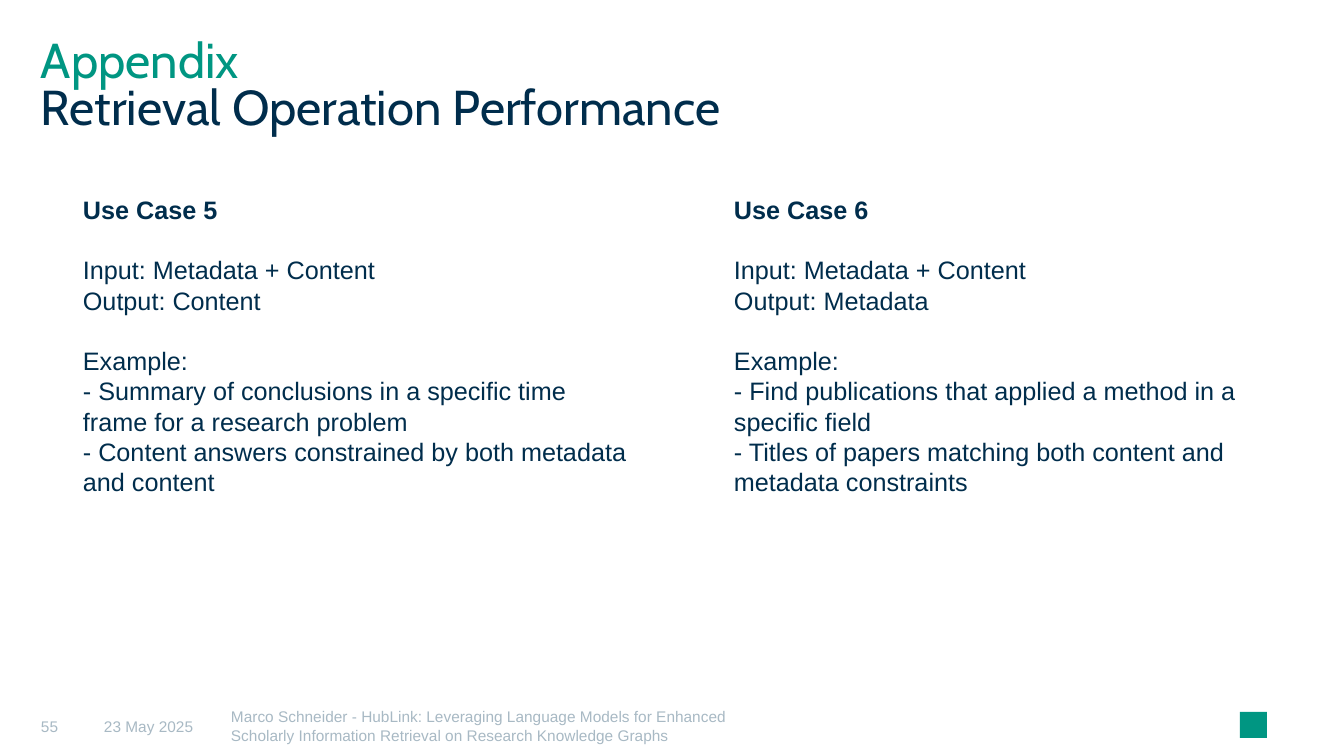
from pptx import Presentation
from pptx.dml.color import RGBColor as RGB
from pptx.enum.shapes import MSO_SHAPE as SHAPE
from pptx.enum.text import MSO_ANCHOR as ANCHOR
from pptx.util import Pt

COLORS = {"green": "009682", "navy": "002D4C", "grey": "A8B9C4"}
TITLE = [("Appendix", "green"), ("Retrieval Operation Performance", "navy")]
CASES = [
    ("Use Case 5", "Content", [
        "Summary of conclusions in a specific time frame for a research problem",
        "Content answers constrained by both metadata and content"]),
    ("Use Case 6", "Metadata", [
        "Find publications that applied a method in a specific field",
        "Titles of papers matching both content and metadata constraints"]),
]
FOOTER = [  # text, left, width
    ("55", 41, 63),
    ("23 May 2025", 104, 127),
    ("Marco Schneider - HubLink: Leveraging Language Models for Enhanced "
     "Scholarly Information Retrieval on Research Knowledge Graphs", 231, 512),
]
WIDE, HIGH = 1344, 756
GAP = 21.7  # one body line, in points


def px(n):
    return round(n * 914400 / 100.8)


def color(name):
    return RGB.from_string(COLORS[name])


def add_text(slide, box, paras, size, font="Arial", inset=(0, 0, 0, 0),
             anchor=ANCHOR.TOP, line=None):
    """Each paragraph is (lines, bold, space before); a line is (text, color)."""
    frame = slide.shapes.add_textbox(*map(px, box)).text_frame
    frame.word_wrap = True
    frame.vertical_anchor = anchor
    (frame.margin_left, frame.margin_top,
     frame.margin_right, frame.margin_bottom) = map(px, inset)
    for i, (lines, bold, before) in enumerate(paras):
        para = frame.paragraphs[0] if i == 0 else frame.add_paragraph()
        if before:
            para.space_before = Pt(before)
        if line:
            para.line_spacing = line
        for j, (text, tint) in enumerate(lines):
            if j:
                para.add_line_break()
            run = para.add_run()
            run.text = text
            run.font.name, run.font.size = font, Pt(size)
            run.font.bold = bold
            run.font.color.rgb = color(tint)


def add_case(slide, left, case):
    name, output, examples = case
    rows = [(name, True, 0),
            ("Input: Metadata + Content", False, GAP),
            (f"Output: {output}", False, 0),
            ("Example:", False, GAP)]
    rows += [(f"- {text}", False, 0) for text in examples]
    paras = [([(text, "navy")], bold, gap) for text, bold, gap in rows]
    add_text(slide, (left, 189, 564, 316), paras, 18, inset=(10, 5, 10, 5))


def main():
    deck = Presentation()
    deck.slide_width, deck.slide_height = px(WIDE), px(HIGH)
    slide = deck.slides.add_slide(deck.slide_layouts[6])

    add_text(slide, (41, 41, 783, 111), [(TITLE, False, 0)], 35,
             font="Cabin", line=0.8)
    for i, case in enumerate(CASES):
        add_case(slide, 73 + i * 651, case)
    for text, left, width in FOOTER:
        add_text(slide, (left, 692, width, 64), [([(text, "grey")], False, 0)],
                 11, inset=(0, 4, 0, 0), anchor=ANCHOR.MIDDLE)

    mark = slide.shapes.add_shape(SHAPE.RECTANGLE, *map(px, (1240, 712, 27, 26)))
    mark.shadow.inherit = False
    mark.fill.solid()
    mark.fill.fore_color.rgb = color("green")
    mark.line.fill.background()
    deck.save("out.pptx")


if __name__ == "__main__":
    main()
